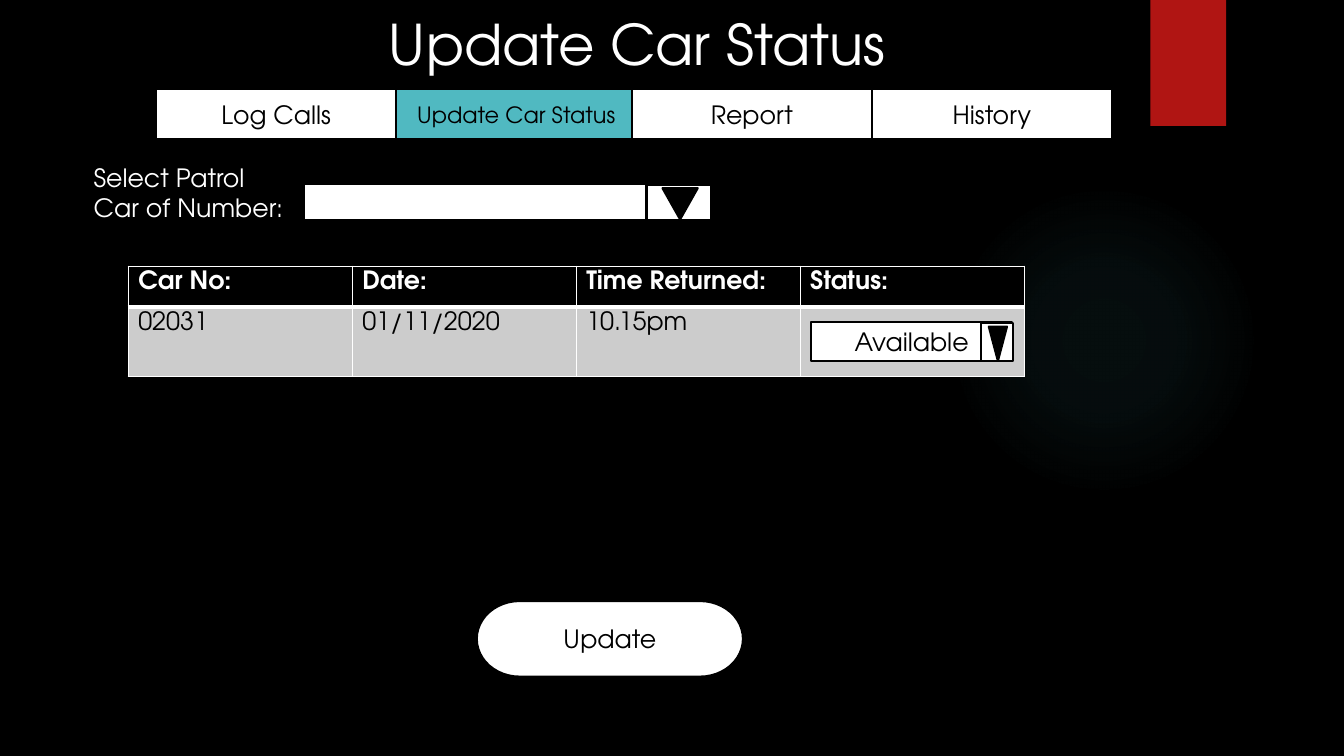
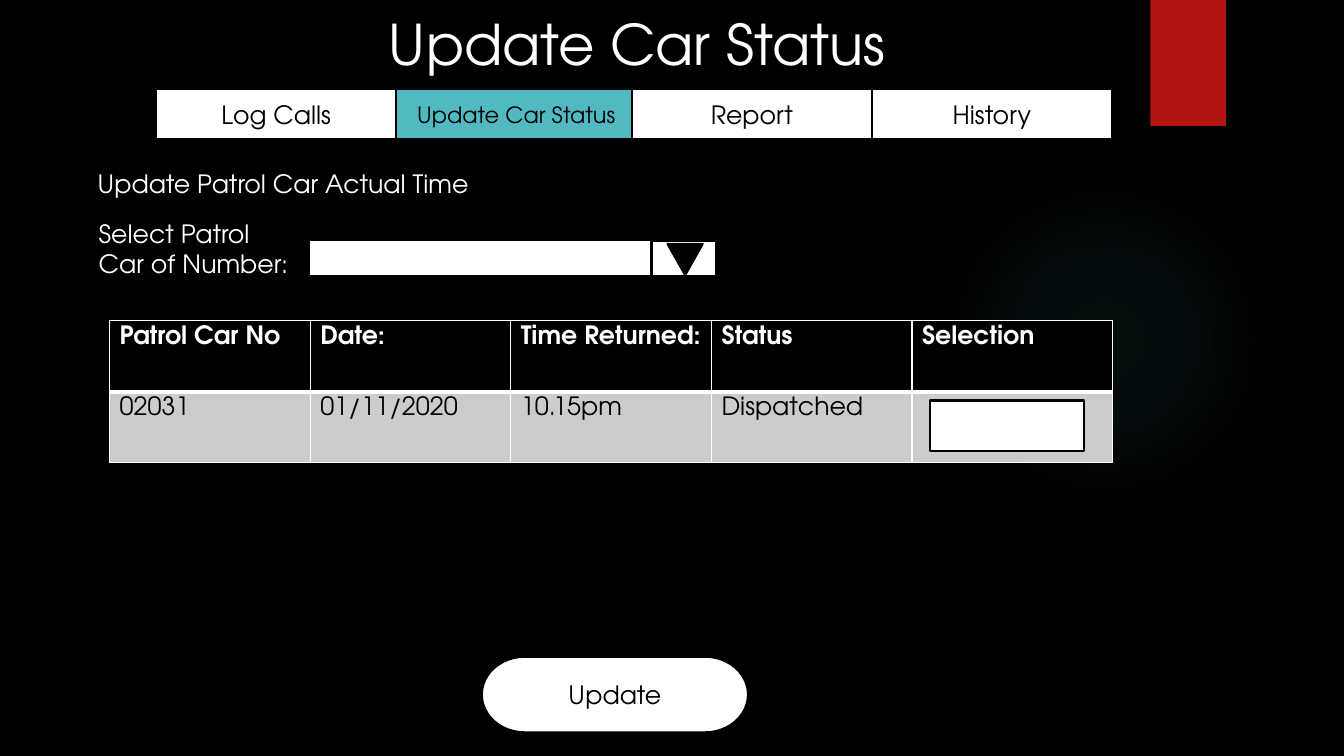
"""Build two mock-up screens for updating the status of a patrol car."""

from dataclasses import dataclass

import lxml.etree
import pptx
import pptx.dml.color
import pptx.enum.shapes
import pptx.enum.text
import pptx.oxml.ns
import pptx.presentation
import pptx.shapes.autoshape
import pptx.slide
import pptx.table
import pptx.text.text
import pptx.util

Pt = pptx.util.Pt
RGBColor = pptx.dml.color.RGBColor
SHAPE = pptx.enum.shapes.MSO_SHAPE
qn = pptx.oxml.ns.qn

BLACK = RGBColor(0x00, 0x00, 0x00)
WHITE = RGBColor(0xFF, 0xFF, 0xFF)
TEAL = RGBColor(0x50, 0xB9, 0xC1)
RED = RGBColor(0xB0, 0x15, 0x13)
GRAY = RGBColor(0xCC, 0xCC, 0xCC)
FONT = "TeX Gyre Adventor"
BODY_SIZE = 18
OUTLINE = 1.5
BLANK_LAYOUT = 6
GLOW_STOPS = ((0, 7), (36, 6), (69, 0))


@dataclass(frozen=True)
class Box:
    left: float
    top: float
    width: float
    height: float

    def moved(self, right: float, down: float) -> "Box":
        return Box(self.left + right, self.top + down, self.width, self.height)

    def lengths(self) -> tuple[pptx.util.Length, ...]:
        return Pt(self.left), Pt(self.top), Pt(self.width), Pt(self.height)


@dataclass(frozen=True)
class Tab:
    label: str
    left: float
    fill: RGBColor = WHITE
    size: float = BODY_SIZE


@dataclass(frozen=True)
class Dropdown:
    field: Box
    button: Box
    arrow: Box
    choice: str = ""

    def moved(self, right: float, down: float) -> "Dropdown":
        field, button, arrow = (
            part.moved(right, down) for part in (self.field, self.button, self.arrow)
        )
        return Dropdown(field, button, arrow, self.choice)


@dataclass(frozen=True)
class CarTable:
    left: float
    top: float
    column_width: float
    row_heights: tuple[float, float]
    rows: tuple[tuple[str, ...], tuple[str, ...]]


TITLE = Box(270.7, 3.2, 393.8, 55.4)
GLOW = Box(677.5, 131.8, 221.8, 221.8)
RIBBON = Box(821.8, 0, 54, 90)
TAB_TOP, TAB_WIDTH, TAB_HEIGHT = 63.5, 171.4, 36
TABS = (
    Tab("Log Calls", 111.6),
    Tab("Update Car Status", 283, TEAL, 16),
    Tab("Report", 451.4),
    Tab("History", 622.8),
)
CAR_LABEL = Box(59.8, 112.4, 157, 51.1)
CAR_PICKER = Dropdown(
    Box(217.4, 131.5, 290.2, 25.9),
    Box(461.8, 132.2, 46.1, 25.2),
    Box(473.2, 134.4, 25.2, 22.3),
)
UPDATE_BUTTON = Box(340.6, 429.3, 190.1, 54)
STATUS_PICKER = Dropdown(
    Box(579.2, 229.7, 144, 28.1),
    Box(700.6, 230.4, 23, 27.4),
    Box(706.3, 233.3, 13, 24.5),
    "Available",
)
SUBTITLE = Box(62.6, 116.6, 280.8, 28.8)
SELECTION_BOX = Box(664.2, 286.1, 110.2, 36)
RETURNED_CARS = CarTable(
    91.6, 190.1, 160, (29.2, 49.4),
    (
        ("Car No:", "Date:", "Time Returned:", "Status:"),
        ("02031", "01/11/2020", "10.15pm", ""),
    ),
)
DISPATCHED_CARS = CarTable(
    78.3, 229, 143.3, (50.8, 50.8),
    (
        ("Patrol Car No", "Date:", "Time Returned:", "Status", "Selection"),
        ("02031", "01/11/2020", "10.15pm", "Dispatched", ""),
    ),
)


def style_paragraph(
    paragraph: pptx.text.text._Paragraph,
    color: RGBColor,
    size: float = BODY_SIZE,
    bold: bool = False,
) -> None:
    """Set the font of a whole paragraph."""
    font = paragraph.font
    font.name, font.size, font.bold = FONT, Pt(size), bold
    font.color.rgb = color


def add_text(
    slide: pptx.slide.Slide, box: Box, text: str, size: float = BODY_SIZE
) -> None:
    """Add white text directly on the background."""
    frame = slide.shapes.add_textbox(*box.lengths()).text_frame
    frame.word_wrap = True
    frame.text = text
    style_paragraph(frame.paragraphs[0], WHITE, size)


def add_panel(
    slide: pptx.slide.Slide,
    box: Box,
    text: str = "",
    fill: RGBColor = WHITE,
    kind: pptx.enum.shapes.MSO_SHAPE = SHAPE.RECTANGLE,
    size: float = BODY_SIZE,
) -> pptx.shapes.autoshape.Shape:
    """Add a filled shape with a black outline and optional centred text."""
    panel = slide.shapes.add_shape(kind, *box.lengths())
    panel.shadow.inherit = False
    panel.fill.solid()
    panel.fill.fore_color.rgb = fill
    panel.line.color.rgb = BLACK
    panel.line.width = Pt(OUTLINE)
    if text:
        frame = panel.text_frame
        frame.text = text
        frame.vertical_anchor = pptx.enum.text.MSO_ANCHOR.MIDDLE
        frame.paragraphs[0].alignment = pptx.enum.text.PP_ALIGN.CENTER
        style_paragraph(frame.paragraphs[0], BLACK, size)
    return panel


def add_dropdown(slide: pptx.slide.Slide, dropdown: Dropdown) -> None:
    """Add a field, its button and the arrow pointing down."""
    add_panel(slide, dropdown.field, dropdown.choice)
    add_panel(slide, dropdown.button)
    arrow = add_panel(
        slide, dropdown.arrow, fill=BLACK, kind=SHAPE.ISOSCELES_TRIANGLE
    )
    arrow.rotation = 180


def add_glow(slide: pptx.slide.Slide) -> None:
    """Add the faint round glow that fades towards its edge."""
    glow = slide.shapes.add_shape(SHAPE.OVAL, *GLOW.lengths())
    glow.shadow.inherit = False
    glow.line.fill.background()
    glow.fill.gradient()
    gradient = glow.fill._xPr.find(qn("a:gradFill"))
    for child in list(gradient):
        gradient.remove(child)
    stops = lxml.etree.SubElement(gradient, qn("a:gsLst"))
    for position, opacity in GLOW_STOPS:
        stop = lxml.etree.SubElement(stops, qn("a:gs"), pos=str(position * 1000))
        color = lxml.etree.SubElement(stop, qn("a:srgbClr"), val=str(TEAL))
        lxml.etree.SubElement(color, qn("a:alpha"), val=str(opacity * 1000))
    circle = lxml.etree.SubElement(gradient, qn("a:path"), path="circle")
    center = {side: "50000" for side in "ltrb"}
    lxml.etree.SubElement(circle, qn("a:fillToRect"), center)


def add_borders(cell: pptx.table._Cell, bottom_width: float) -> None:
    """Draw white borders around a cell."""
    properties = cell._tc.get_or_add_tcPr()
    for side, width in (("L", 1), ("R", 1), ("T", 1), ("B", bottom_width)):
        border = lxml.etree.SubElement(
            properties, qn(f"a:ln{side}"), w=str(int(Pt(width)))
        )
        paint = lxml.etree.SubElement(border, qn("a:solidFill"))
        lxml.etree.SubElement(paint, qn("a:srgbClr"), val=str(WHITE))


def add_car_table(slide: pptx.slide.Slide, cars: CarTable) -> None:
    """Add a table with a black header row and a grey row of values."""
    column_count = len(cars.rows[0])
    area = Box(
        cars.left, cars.top, cars.column_width * column_count, sum(cars.row_heights)
    )
    table = slide.shapes.add_table(
        len(cars.rows), column_count, *area.lengths()
    ).table
    table.horz_banding = False
    for column in table.columns:
        column.width = Pt(cars.column_width)
    for row_index, (height, texts) in enumerate(zip(cars.row_heights, cars.rows)):
        is_header = row_index == 0
        table.rows[row_index].height = Pt(height)
        for column_index, text in enumerate(texts):
            cell = table.cell(row_index, column_index)
            cell.text = text
            style_paragraph(
                cell.text_frame.paragraphs[0],
                WHITE if is_header else BLACK,
                bold=is_header,
            )
            add_borders(cell, 3 if is_header else 1)
            cell.fill.solid()
            cell.fill.fore_color.rgb = BLACK if is_header else GRAY


def add_screen(
    deck: pptx.presentation.Presentation, right: float = 0, down: float = 0
) -> pptx.slide.Slide:
    """Add a slide with the shared parts, its form moved by the given offset."""
    slide = deck.slides.add_slide(deck.slide_layouts[BLANK_LAYOUT])
    add_glow(slide)
    ribbon = add_panel(slide, RIBBON, fill=RED)
    ribbon.line.fill.background()
    add_text(slide, TITLE, "Update Car Status", 40)
    for tab in TABS:
        box = Box(tab.left, TAB_TOP, TAB_WIDTH, TAB_HEIGHT)
        add_panel(slide, box, tab.label, tab.fill, size=tab.size)
    add_dropdown(slide, CAR_PICKER.moved(right, down))
    add_text(slide, CAR_LABEL.moved(right, down), "Select Patrol Car of Number:")
    add_panel(
        slide,
        UPDATE_BUTTON.moved(right, down),
        "Update",
        kind=SHAPE.FLOWCHART_TERMINATOR,
    )
    return slide


def main() -> None:
    """Build and save the presentation."""
    deck = pptx.Presentation()
    deck.slide_width, deck.slide_height = Pt(960), Pt(540)
    backdrop = deck.slide_master.background.fill
    backdrop.solid()
    backdrop.fore_color.rgb = BLACK

    returned = add_screen(deck)
    add_car_table(returned, RETURNED_CARS)
    add_dropdown(returned, STATUS_PICKER)

    dispatched = add_screen(deck, right=3.6, down=39.8)
    add_text(dispatched, SUBTITLE, "Update Patrol Car Actual Time")
    add_car_table(dispatched, DISPATCHED_CARS)
    add_panel(dispatched, SELECTION_BOX)

    deck.save("out.pptx")


if __name__ == "__main__":
    main()
